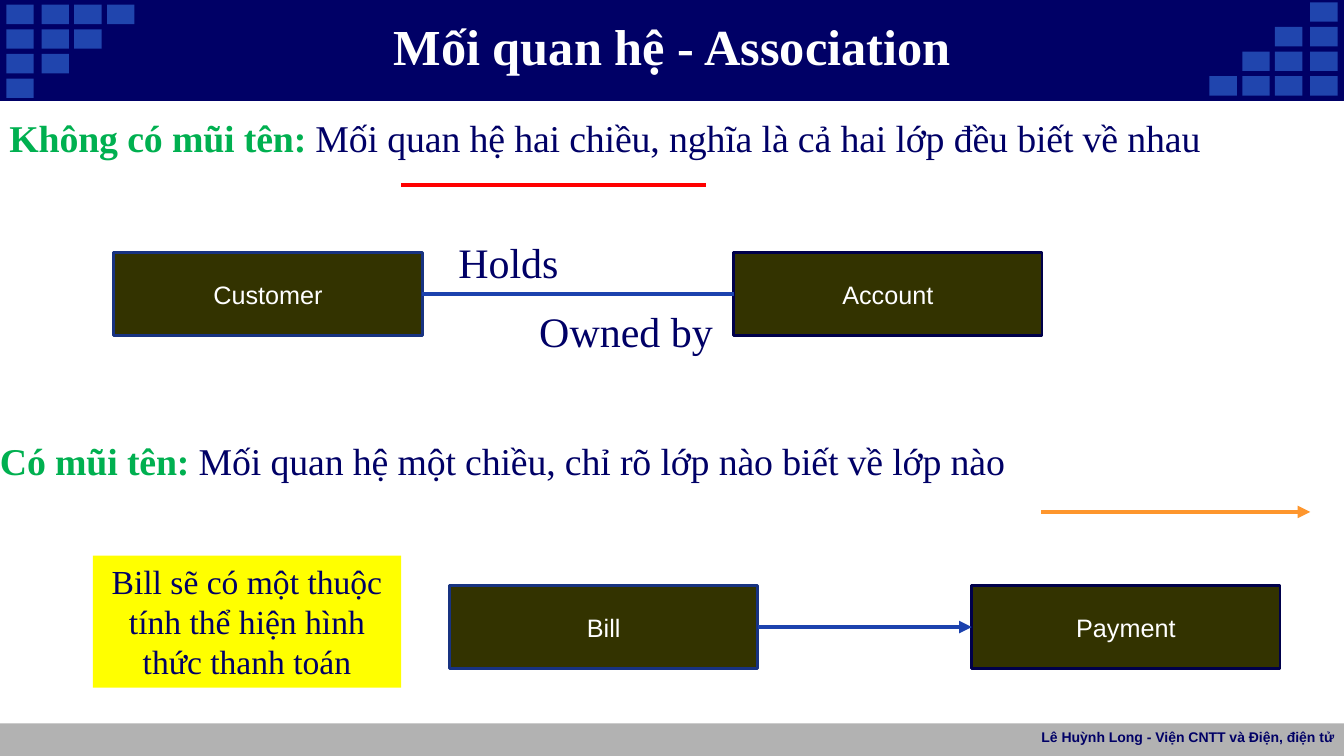
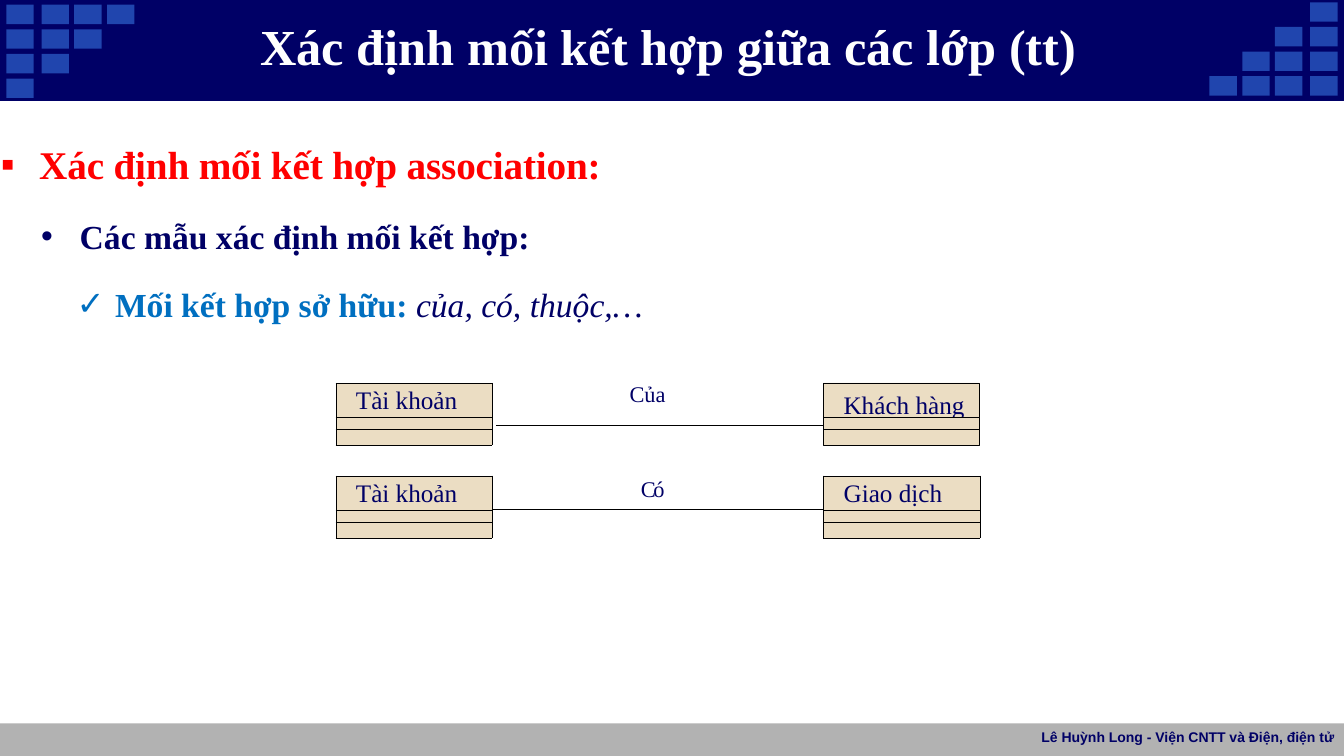
from lxml import etree
from pptx import Presentation
from pptx import util as u
from pptx.dml import color
from pptx.enum import shapes, text
from pptx.oxml import ns

COLORS = {
    "navy": "000066", "square": "2045AE", "gray": "B2B2B2", "white": "FFFFFF",
    "green": "00B050", "red": "FF0000", "sky": "006FC0", "yellow": "FFFF00",
    "olive": "333300", "edge_blue": "183381", "edge_dark": "00004B",
    "link": "1C42AE", "orange": "FE962D", "sand": "EBDDC3", "black": "000000",
}
SERIF, SANS = "Times New Roman", "Arial"
WIDTH, HEIGHT = 33.87, 19.05
BOX_W, BOX_H = 7.77, 2.08
CLASS_X, CLASS_W = (8.46, 20.75), 3.94
LEFT, CENTER, RIGHT = text.PP_ALIGN.LEFT, text.PP_ALIGN.CENTER, text.PP_ALIGN.RIGHT


def rgb(name):
    """Return the colour with this name."""
    return color.RGBColor.from_string(COLORS[name])


def write(p, content, size=24, font=SERIF, fill="navy", bold=False, italic=False, spc=0):
    """Add a formatted run to a paragraph."""
    r = p.add_run()
    r.text = content
    r.font.size, r.font.name = u.Pt(size), font
    r.font.bold, r.font.italic = bold, italic
    r.font.color.rgb = rgb(fill)
    if spc:
        r._r.get_or_add_rPr().set("spc", str(spc))
    return r


def set_frame(tf, insets=(0.25, 0.13, 0.25, 0.13), anchor=text.MSO_ANCHOR.TOP, align=LEFT):
    """Set wrapping, insets, anchor and alignment, and return the first paragraph."""
    tf.word_wrap = True
    tf.auto_size = text.MSO_AUTO_SIZE.NONE
    tf.margin_left, tf.margin_top, tf.margin_right, tf.margin_bottom = map(u.Cm, insets)
    tf.vertical_anchor = anchor
    p = tf.paragraphs[0]
    p.alignment = align
    return p


def add_rect(slide, x, y, w, h, fill, line=None, line_w=0.75):
    """Draw a flat rectangle."""
    sp = slide.shapes.add_shape(shapes.MSO_SHAPE.RECTANGLE, *map(u.Cm, (x, y, w, h)))
    sp.shadow.inherit = False
    sp.fill.solid()
    sp.fill.fore_color.rgb = rgb(fill)
    if line:
        sp.line.color.rgb = rgb(line)
        sp.line.width = u.Pt(line_w)
    else:
        sp.line.fill.background()
    return sp


def add_label(slide, x, y, w, h, runs, align=LEFT, **frame):
    """Add a one-paragraph text box from (text, format) pairs."""
    sp = slide.shapes.add_textbox(*map(u.Cm, (x, y, w, h)))
    p = set_frame(sp.text_frame, align=align, **frame)
    for content, fmt in runs:
        write(p, content, **fmt)
    return sp


def add_line(slide, x1, y1, x2, y2, fill, width=3, arrow=False):
    """Draw a straight connector, with an arrowhead if asked."""
    c = slide.shapes.add_connector(shapes.MSO_CONNECTOR.STRAIGHT, *map(u.Cm, (x1, y1, x2, y2)))
    c.line.color.rgb = rgb(fill)
    c.line.width = u.Pt(width)
    pr = c.element.spPr
    if arrow:
        etree.SubElement(pr.find(ns.qn("a:ln")), ns.qn("a:tailEnd"), type="triangle")
    etree.SubElement(pr, ns.qn("a:effectLst"))
    return c


def add_brand(slide, layout):
    """Draw the bands, corner squares and footer, and move them to the layout."""
    parts = [
        add_rect(slide, 0, 18.23, WIDTH, 0.82, "gray"),
        add_rect(slide, 0, 0, WIDTH, 2.54, "navy", "navy"),
    ]
    w, h, pitch = 0.69, 0.49, 0.62
    for row in range(4):
        for x in (0.16, 1.05, 1.87, 2.7)[:4 - row]:
            parts.append(add_rect(slide, x, 0.12 + row * pitch, w, h, "square"))
            parts.append(add_rect(slide, WIDTH - w - x, 1.92 - row * pitch, w, h, "square"))
    footer = [("Lê Huỳnh Long - Viện CNTT và Điện, điện tử", dict(size=10, font=SANS, bold=True))]
    parts.append(add_label(slide, 25.83, 18.24, 8.04, 0.76, footer, align=RIGHT))
    for i, sp in enumerate(parts):
        sp.element.xpath(".//p:cNvPr")[0].set("id", str(100 + i))
        layout.shapes.element.insert(2 + i, sp.element)


def set_title(slide, content, x, w):
    """Place and format the title placeholder."""
    sp = slide.shapes.title
    sp.left, sp.top, sp.width, sp.height = map(u.Cm, (x, 0.33, w, 1.57))
    p = set_frame(sp.text_frame, (0, 0.03, 0, 0), text.MSO_ANCHOR.MIDDLE, CENTER)
    write(p, content, size=36, fill="white", bold=True)


def add_entity(slide, x, y, name, line):
    """Draw a dark box with a centred name."""
    sp = add_rect(slide, x, y, BOX_W, BOX_H, "olive", line, 2)
    p = set_frame(sp.text_frame, anchor=text.MSO_ANCHOR.MIDDLE, align=CENTER)
    write(p, name, size=18, font=SANS, fill="white")
    return sp


def add_relation(slide, y, start, end, arrow=False):
    """Draw two named boxes joined by a line."""
    a = add_entity(slide, start[0], y, start[1], "edge_blue")
    b = add_entity(slide, end[0], y, end[1], "edge_dark")
    mid = y + BOX_H / 2
    c = add_line(slide, start[0] + BOX_W, mid, end[0], mid, "link", arrow=arrow)
    c.begin_connect(a, 3)
    c.end_connect(b, 1)


def add_bullet(p, char, level, left, before=0):
    """Turn a paragraph into a hanging bullet."""
    p.level = level
    p.line_spacing = 1.5
    p.space_before = u.Pt(before)
    pr = p._p.get_or_add_pPr()
    pr.set("marL", str(u.Cm(left)))
    pr.set("indent", str(u.Cm(-0.97)))
    etree.SubElement(pr, ns.qn("a:buFont"), typeface=SANS)
    etree.SubElement(pr, ns.qn("a:buChar"), char=char)


def set_borders(cell, left=0.25, right=0.25, top=0.25, bottom=0.25):
    """Give a cell its borders in points, where 0 hides a side."""
    pr = cell._tc.get_or_add_tcPr()
    for i, (side, width) in enumerate(zip("LRTB", (left, right, top, bottom))):
        ln = etree.Element(ns.qn("a:ln" + side), w=str(u.Pt(width)))
        if width:
            fill = etree.SubElement(ln, ns.qn("a:solidFill"))
            etree.SubElement(fill, ns.qn("a:srgbClr"), val=COLORS["black"])
        else:
            etree.SubElement(ln, ns.qn("a:noFill"))
        pr.insert(i, ln)


def add_class_table(slide, y, widths, heights, names):
    """Add a table of class boxes, one name for each column in names."""
    size = map(u.Cm, (CLASS_X[0], y, sum(widths), sum(heights)))
    table = slide.shapes.add_table(len(heights), len(widths), *size).table
    table.first_row = table.horz_banding = False
    for col, w in zip(table.columns, widths):
        col.width = u.Cm(w)
    for row, h in zip(table.rows, heights):
        row.height = u.Cm(h)
    for cell in table.iter_cells():
        cell.margin_left = cell.margin_right = cell.margin_top = cell.margin_bottom = 0
        cell.text_frame.paragraphs[0]._p.get_or_add_endParaRPr().set("sz", "500")
    for col, name in names.items():
        for row in range(len(heights)):
            cell = table.cell(row, col)
            cell.fill.solid()
            cell.fill.fore_color.rgb = rgb("sand")
            set_borders(cell)
        cell = table.cell(0, col)
        cell.margin_left, cell.margin_top = u.Cm(0.51), u.Cm(0.15)
        p = cell.text_frame.paragraphs[0]
        p.line_spacing = u.Pt(18.6)
        write(p, name, size=18)
    return table


def add_class_shape(slide, x, y, heights, name):
    """Draw a class box of stacked compartments."""
    for i, h in enumerate(heights):
        sp = add_rect(slide, x, y, CLASS_W, h, "sand", "black", 0.25)
        if i == 0:
            write(set_frame(sp.text_frame, (0.51, 0.15, 0, 0)), name, size=18)
        y += h


def build_association(slide):
    """Fill the slide on association with and without an arrow."""
    set_title(slide, "Mối quan hệ - Association", 6.78, 20.32)
    rules = (
        (0.24, 2.9, "Không có mũi tên: ",
         "Mối quan hệ hai chiều, nghĩa là cả hai lớp đều biết về nhau"),
        (0, 11.04, "Có mũi tên: ", "Mối quan hệ một chiều, chỉ rõ lớp nào biết về lớp nào"),
    )
    for x, y, head, body in rules:
        runs = [(head, dict(size=27, fill="green", bold=True, spc=-10)),
                (body, dict(size=27, spc=-10))]
        add_label(slide, x, y, WIDTH - x, 1.3, runs, insets=(0, 0, 0, 0))
    note = add_rect(slide, 2.34, 14, BOX_W, 3.33, "yellow")
    write(set_frame(note.text_frame, align=CENTER),
          "Bill sẽ có một thuộc tính thể hiện hình thức thanh toán")
    add_relation(slide, 6.37, (2.87, "Customer"), (18.49, "Account"))
    add_relation(slide, 14.76, (11.33, "Bill"), (24.49, "Payment"), arrow=True)
    add_label(slide, 11.3, 5.82, 3.18, 1.55, [("Holds", dict(size=30))])
    add_label(slide, 13.34, 7.57, 5.13, 1.55, [("Owned by", dict(size=30))])
    add_line(slide, 10.11, 4.67, 17.78, 4.67, "red")
    add_line(slide, 26.24, 12.9, 33.02, 12.9, "orange", arrow=True)


def build_ownership(slide):
    """Fill the slide on finding associations between classes."""
    set_title(slide, "Xác định mối kết hợp giữa các lớp (tt)", 6.15, 21.39)
    sp = slide.shapes.add_textbox(*map(u.Cm, (0, 2.69, WIDTH, 5.33)))
    tf = sp.text_frame
    p = set_frame(tf, (0, 0.25, 0, 0))
    add_bullet(p, "▪", 0, 0.99)
    write(p, "Xác định mối kết hợp association:", size=28, fill="red", bold=True, spc=-10)
    p = tf.add_paragraph()
    add_bullet(p, "•", 1, 2.01, 6)
    write(p, "Các mẫu xác định mối kết hợp:", bold=True)
    p = tf.add_paragraph()
    add_bullet(p, "✓", 2, 2.9, 5.1)
    write(p, "Mối kết hợp sở hữu: ", fill="sky", bold=True)
    write(p, "của, có, thuộc,…", italic=True)

    heights = (0.86, 0.31, 0.39)
    add_class_table(slide, 9.65, [CLASS_W], heights, {0: "Tài khoản"})
    add_class_shape(slide, CLASS_X[1], 9.65, heights, "Khách hàng")
    add_label(slide, 13.97, 9.55, 4.7, 0.71, [("Của", dict(size=16))],
              align=CENTER, insets=(0, 0.03, 0, 0))
    add_line(slide, 12.5, 10.72, CLASS_X[1], 10.72, "black", 0.75)

    gap = CLASS_X[1] - CLASS_X[0] - CLASS_W
    table = add_class_table(slide, 11.99, [CLASS_W, gap, CLASS_W], heights,
                            {0: "Tài khoản", 2: "Giao dịch"})
    link, below = table.cell(0, 1), table.cell(1, 1)
    below.merge(table.cell(2, 1))
    for cell, top, bottom in ((link, 0, 0.75), (below, 0.75, 0), (table.cell(2, 1), 0, 0)):
        cell.fill.background()
        set_borders(cell, top=top, bottom=bottom)
    link.margin_top, link.margin_right = u.Cm(0.05), u.Cm(0.25)
    p = link.text_frame.paragraphs[0]
    p.alignment = CENTER
    write(p, "Có", size=16, spc=-160)


def main():
    """Build and save the presentation."""
    prs = Presentation()
    prs.slide_width, prs.slide_height = u.Cm(WIDTH), u.Cm(HEIGHT)
    layout = prs.slide_layouts[5]
    first, second = (prs.slides.add_slide(layout) for _ in range(2))
    add_brand(first, layout)
    build_association(first)
    build_ownership(second)
    prs.save("out.pptx")


if __name__ == "__main__":
    main()
